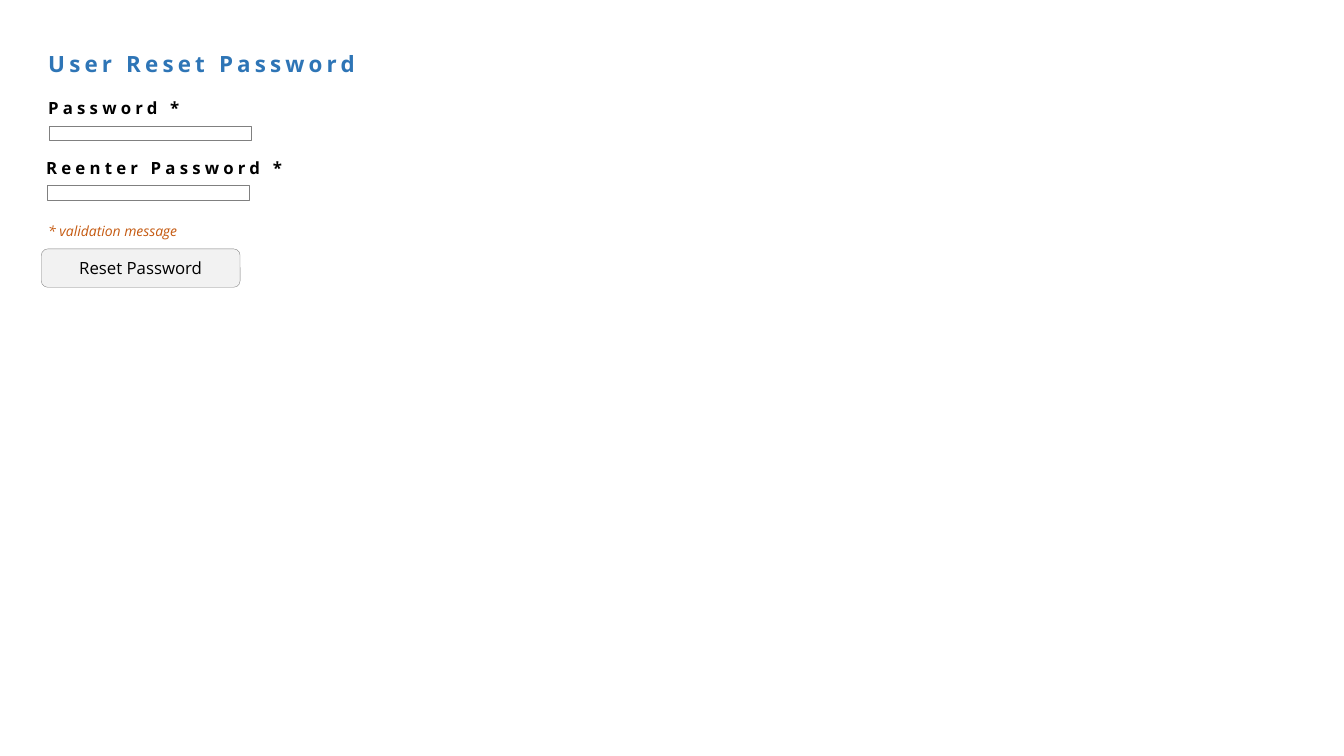
from dataclasses import dataclass
from pptx import Presentation
from pptx.dml.color import RGBColor
from pptx.enum.shapes import MSO_SHAPE
from pptx.enum.text import MSO_ANCHOR, MSO_AUTO_SIZE, PP_ALIGN
from pptx.util import Pt

RECT = MSO_SHAPE.RECTANGLE
ROUND = MSO_SHAPE.ROUNDED_RECTANGLE
MIDDLE = MSO_ANCHOR.MIDDLE
GROW = MSO_AUTO_SIZE.SHAPE_TO_FIT_TEXT
LEFT = PP_ALIGN.LEFT
CENTER = PP_ALIGN.CENTER


@dataclass(frozen=True)
class Theme:
    font: str = "Open Sans"
    white: str = "FFFFFF"
    ink: str = "000000"
    blue: str = "2E75B6"
    rust: str = "C55A11"
    gray: str = "F2F2F2"
    edge: str = "808080"
    title: int = 16
    body: int = 12
    note: int = 10
    line: float = 0.25
    track: int = 300


def assign(item, values):
    for name, value in values.items():
        setattr(item, name, value)


class Form:
    def __init__(self, slide, theme):
        self.slide = slide
        self.theme = theme

    def label(self, frame, text, size, color, pads, align=LEFT, track=0, **style):
        left, top, right, bottom = map(Pt, pads)
        assign(frame, dict(
            word_wrap=True, vertical_anchor=MIDDLE, margin_left=left,
            margin_top=top, margin_right=right, margin_bottom=bottom))
        para = frame.paragraphs[0]
        para.alignment = align
        run = para.add_run()
        run.text = text
        assign(run.font, dict(name=self.theme.font, size=Pt(size), **style))
        run.font.color.rgb = RGBColor.from_string(color)
        if track:
            run._r.get_or_add_rPr().set("spc", str(track))

    def text(self, area, text, size, color, **style):
        box = self.slide.shapes.add_textbox(*map(Pt, area))
        self.label(box.text_frame, text, size, color, (7.2, 1.44, 7.2, 2.16), **style)
        box.text_frame.auto_size = GROW

    def head(self, area, text, size, color):
        self.text(area, text, size, color, bold=True, track=self.theme.track)

    def panel(self, kind, area, fill):
        shape = self.slide.shapes.add_shape(kind, *map(Pt, area))
        shape.shadow.inherit = False
        shape.fill.solid()
        shape.fill.fore_color.rgb = RGBColor.from_string(fill)
        shape.line.color.rgb = RGBColor.from_string(self.theme.edge)
        shape.line.width = Pt(self.theme.line)
        return shape

    def field(self, left, top, text):
        self.head((left, top, 216, 18), text, self.theme.body, self.theme.ink)
        self.panel(RECT, (left + 7.92, top + 21.6, 144, 10.4), self.theme.white)

    def button(self, area, text):
        shape = self.panel(ROUND, area, self.theme.gray)
        self.label(shape.text_frame, text, self.theme.body, self.theme.ink,
                   (7.2, 0, 7.2, 0.72), align=CENTER)


deck = Presentation()
assign(deck, dict(slide_width=Pt(960), slide_height=Pt(540)))
theme = Theme()
form = Form(deck.slides.add_slide(deck.slide_layouts[6]), theme)

form.head((27.36, 34.56, 314, 23), "User Reset Password", theme.title, theme.blue)
form.field(27.36, 68.4, "Password *")
form.field(25.92, 110.88, "Reenter Password *")
form.text((27.36, 157, 216, 16), "* validation message", theme.note, theme.rust, italic=True)
form.button((29.5, 177.8, 142, 27.4), "Reset Password")

deck.save("out.pptx")
